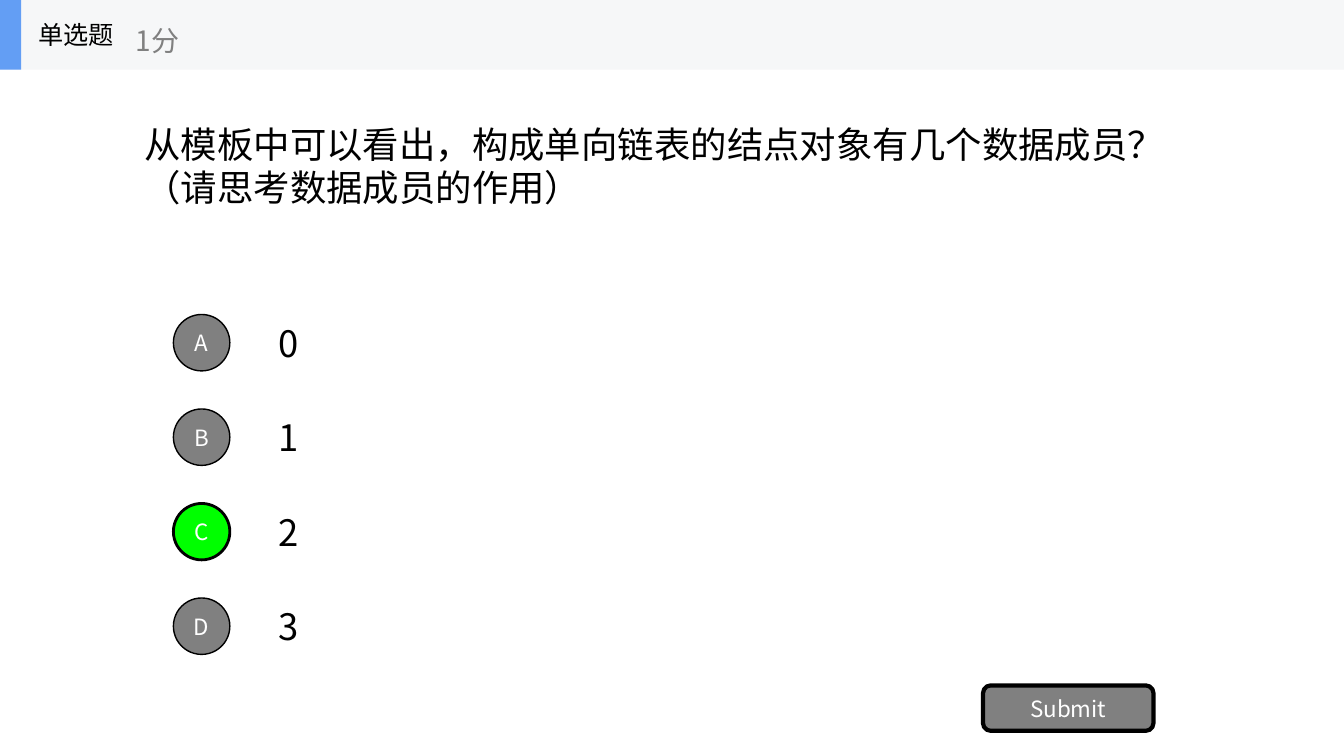
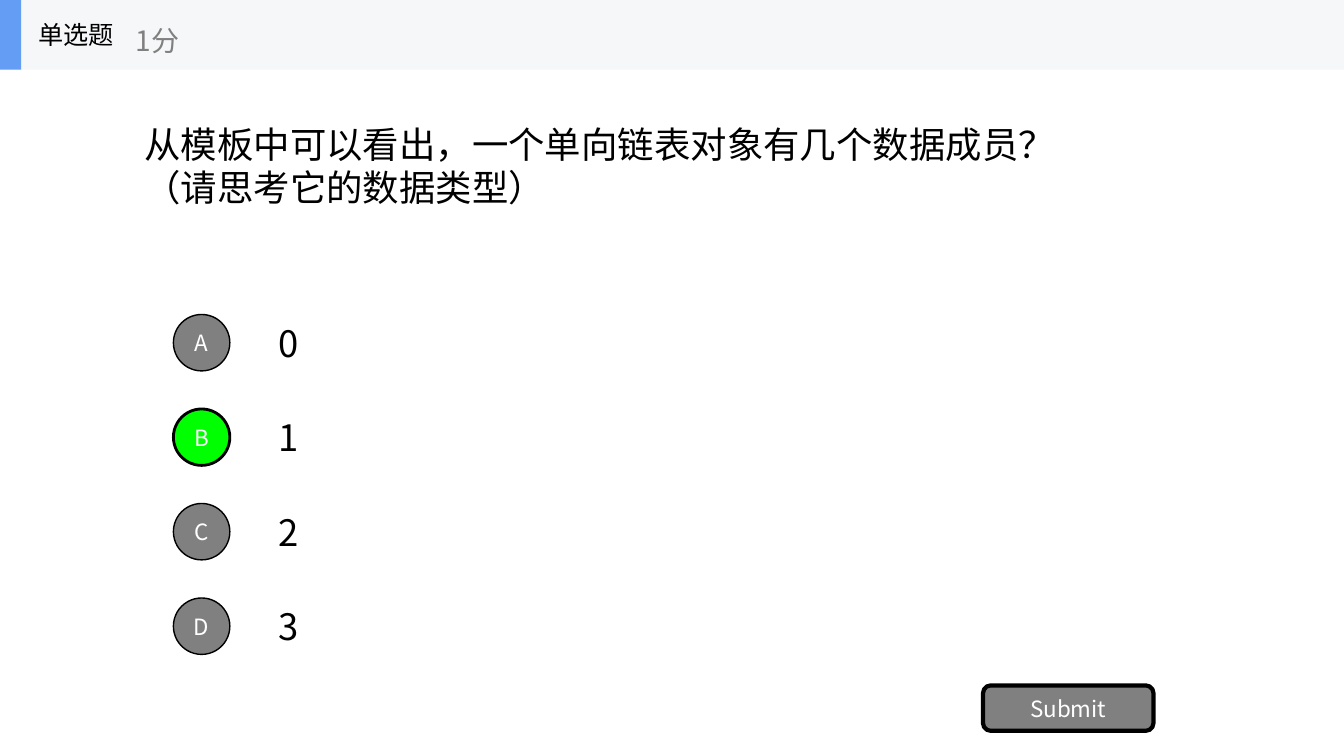
from lxml.etree import SubElement
from pptx import Presentation
from pptx.dml.color import RGBColor
from pptx.enum.shapes import MSO_SHAPE
from pptx.enum.text import MSO_ANCHOR, PP_ALIGN
from pptx.oxml.ns import qn
from pptx.util import Inches, Pt

FONT = "Noto Sans CJK SC"
BLACK, WHITE, GRAY = "000000", "FFFFFF", "808080"
GREEN, BLUE, PALE = "00FF00", "639EF4", "F6F7F8"

W, H = 13.33, 7.5
COL, ROW = W / 10, H / 8
BAND = 0.69
ANSWER_TOP, ANSWER_H, BADGE = 3.05, 0.7, 0.56

QUESTIONS = [
    (["从模板中可以看出，构成单向链表的结点对象有几个数据成员？",
      "（请思考数据成员的作用）"], "C"),
    (["从模板中可以看出，一个单向链表对象有几个数据成员？",
      "（请思考它的数据类型）"], "B"),
]
ANSWERS = list(zip("ABCD", "0123"))


def add_text(shapes, lines, box, size, color=BLACK, wrap=True):
    sp = shapes.add_textbox(*map(Inches, box))
    write(sp, lines, size, color, PP_ALIGN.LEFT, wrap)


def add_block(shapes, kind, box, fill, line=0, label=""):
    """Filled shape; line is the outline width in points, 0 for none."""
    sp = shapes.add_shape(kind, *map(Inches, box))
    sp.shadow.inherit = False
    sp.fill.solid()
    sp.fill.fore_color.rgb = RGBColor.from_string(fill)
    if line:
        sp.line.color.rgb = RGBColor.from_string(BLACK)
        sp.line.width = Pt(line)
    else:
        sp.line.fill.background()
    if label:
        write(sp, [label], 16, WHITE, PP_ALIGN.CENTER, True)


def write(sp, lines, size, color, align, wrap):
    tf = sp.text_frame
    tf.text = "\n".join(lines)
    tf.word_wrap = wrap
    tf.vertical_anchor = MSO_ANCHOR.MIDDLE
    for p in tf.paragraphs:
        p.alignment = align
        for r in p.runs:
            r.font.size = Pt(size)
            r.font.name = FONT
            r.font.color.rgb = RGBColor.from_string(color)
            SubElement(r.font._element, qn("a:ea"), typeface=FONT)


prs = Presentation()
prs.slide_width, prs.slide_height = Inches(W), Inches(H)

for question, correct in QUESTIONS:
    s = prs.slides.add_slide(prs.slide_layouts[6])
    add_text(s.shapes, question, (COL, H / 16, 8 * COL, 2.5 * ROW), 26)

    for i, (letter, answer) in enumerate(ANSWERS):
        top = ANSWER_TOP + i * ROW
        add_text(s.shapes, [answer], (2 * COL, top, 7 * COL, ANSWER_H), 26)
        fill, line = (GREEN, 2) if letter == correct else (GRAY, 1)
        badge_box = (1.72, top + (ANSWER_H - BADGE) / 2, BADGE, BADGE)
        add_block(s.shapes, MSO_SHAPE.OVAL, badge_box, fill, line, letter)

    add_block(s.shapes, MSO_SHAPE.ROUNDED_RECTANGLE,
              (9.75, 6.8, 1.69, 0.45), GRAY, 3, "Submit")

    header = s.shapes.add_group_shape().shapes
    add_block(header, MSO_SHAPE.RECTANGLE, (0, 0, W, BAND), PALE)
    add_block(header, MSO_SHAPE.RECTANGLE, (0, 0, 0.21, BAND), BLUE)
    add_text(header, ["单选题"], (0.28, 0, 2.08, BAND), 18, wrap=False)
    add_text(header, ["1分"], (1.25, 0.12, 2.5, 0.56), 20, GRAY, wrap=False)

prs.save("out.pptx")
